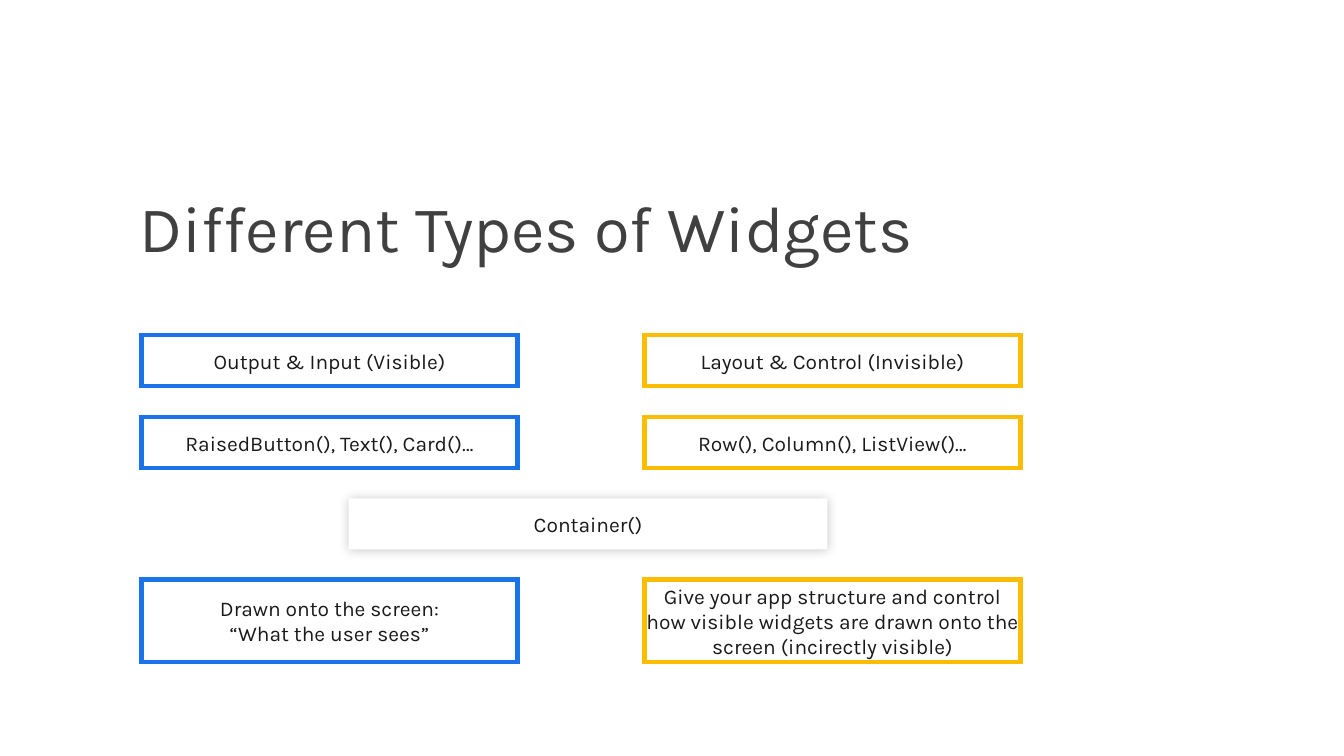
from lxml import etree
from pptx import Presentation
from pptx.dml.color import RGBColor
from pptx.enum.shapes import MSO_SHAPE
from pptx.enum.text import MSO_ANCHOR, MSO_AUTO_SIZE, PP_ALIGN
from pptx.oxml import parse_xml
from pptx.oxml.ns import nsdecls, qn
from pptx.util import Inches, Pt

BOX = MSO_SHAPE.ROUNDED_RECTANGLE
LEFT, CENTER = PP_ALIGN.LEFT, PP_ALIGN.CENTER
TOP, MIDDLE = MSO_ANCHOR.TOP, MSO_ANCHOR.MIDDLE
GROW = MSO_AUTO_SIZE.SHAPE_TO_FIT_TEXT

# Content: one column per kind of widget, plus the widget that is both
TITLE = "Different Types of Widgets"
COLUMNS = [
    ("visible", ["Output & Input (Visible)",
                 "RaisedButton(), Text(), Card()…",
                 "Drawn onto the screen:\n“What the user sees”"]),
    ("invisible", ["Layout & Control (Invisible)",
                   "Row(), Column(), ListView()…",
                   "Give your app structure and control how visible widgets "
                   "are drawn onto the screen (incirectly visible)"]),
]
SHARED = "Container()"

THEME = {
    "font": "Karla", "title_size": 93, "body_size": 30,
    "title": "404040", "body": "1A1A1A", "paper": "FFFFFF",
    "visible": "1A73E8", "invisible": "FBBC04", "border": 6,
}

# Grid in inches
COLUMN_LEFT, COLUMN_STEP, COLUMN_WIDTH = 2.81, 9.98, 7.46
ROWS = [(6.65, 1.01), (8.28, 1.01), (11.5, 1.64)]  # top, height
SHARED_BOX = (6.92, 9.89, 9.5, 1.01)
TITLE_BOX = (2.49, 3.44, 17.11, 2.1)

SHADOW = (f'<a:effectLst {nsdecls("a")}><a:outerShdw blurRad="{Pt(16)}" '
          'algn="ctr" rotWithShape="0"><a:srgbClr val="000000">'
          '<a:alpha val="22000"/></a:srgbClr></a:outerShdw></a:effectLst>')


def color(name):
    return RGBColor.from_string(THEME[name])


def write(shape, text, *, size, ink, align=CENTER, anchor=MIDDLE, inset=0):
    frame = shape.text_frame
    frame.text = text
    frame.word_wrap = True
    frame.vertical_anchor = anchor
    frame.margin_left = frame.margin_right = Inches(inset)
    frame.margin_top = frame.margin_bottom = Inches(inset)
    for paragraph in frame.paragraphs:
        paragraph.alignment = align
        for run in paragraph.runs:
            run.font.name = THEME["font"]
            run.font.size = Pt(THEME[size])
            run.font.color.rgb = color(ink)


def add_box(slide, text, place, border=None):
    box = slide.shapes.add_shape(BOX, *map(Inches, place))
    box.adjustments[0] = 0
    box.shadow.inherit = False
    box.fill.solid()
    box.fill.fore_color.rgb = color("paper")
    if border:
        box.line.color.rgb = color(border)
        box.line.width = Pt(THEME["border"])
        # Square corners on the outline
        etree.SubElement(box.line._get_or_add_ln(), qn("a:miter"), lim="800000")
    else:
        box.line.fill.background()
    write(box, text, size="body_size", ink="body")
    return box


def main():
    deck = Presentation()
    deck.slide_width, deck.slide_height = Inches(26.67), Inches(15)
    slide = deck.slides.add_slide(deck.slide_layouts[5])

    # Title
    title = slide.shapes.title
    title.left, title.top, title.width, title.height = map(Inches, TITLE_BOX)
    write(title, TITLE, size="title_size", ink="title", align=LEFT,
          anchor=TOP, inset=0.27)
    title.text_frame.auto_size = GROW

    # Shared widget, lifted by a soft shadow
    shared = add_box(slide, SHARED, SHARED_BOX)
    effects = shared._element.spPr.find(qn("a:effectLst"))
    effects.getparent().replace(effects, parse_xml(SHADOW))

    # Two columns of outlined boxes
    for index, (kind, texts) in enumerate(COLUMNS):
        left = COLUMN_LEFT + index * COLUMN_STEP
        for text, (top, height) in zip(texts, ROWS):
            add_box(slide, text, (left, top, COLUMN_WIDTH, height), kind)

    deck.save("out.pptx")


if __name__ == "__main__":
    main()
